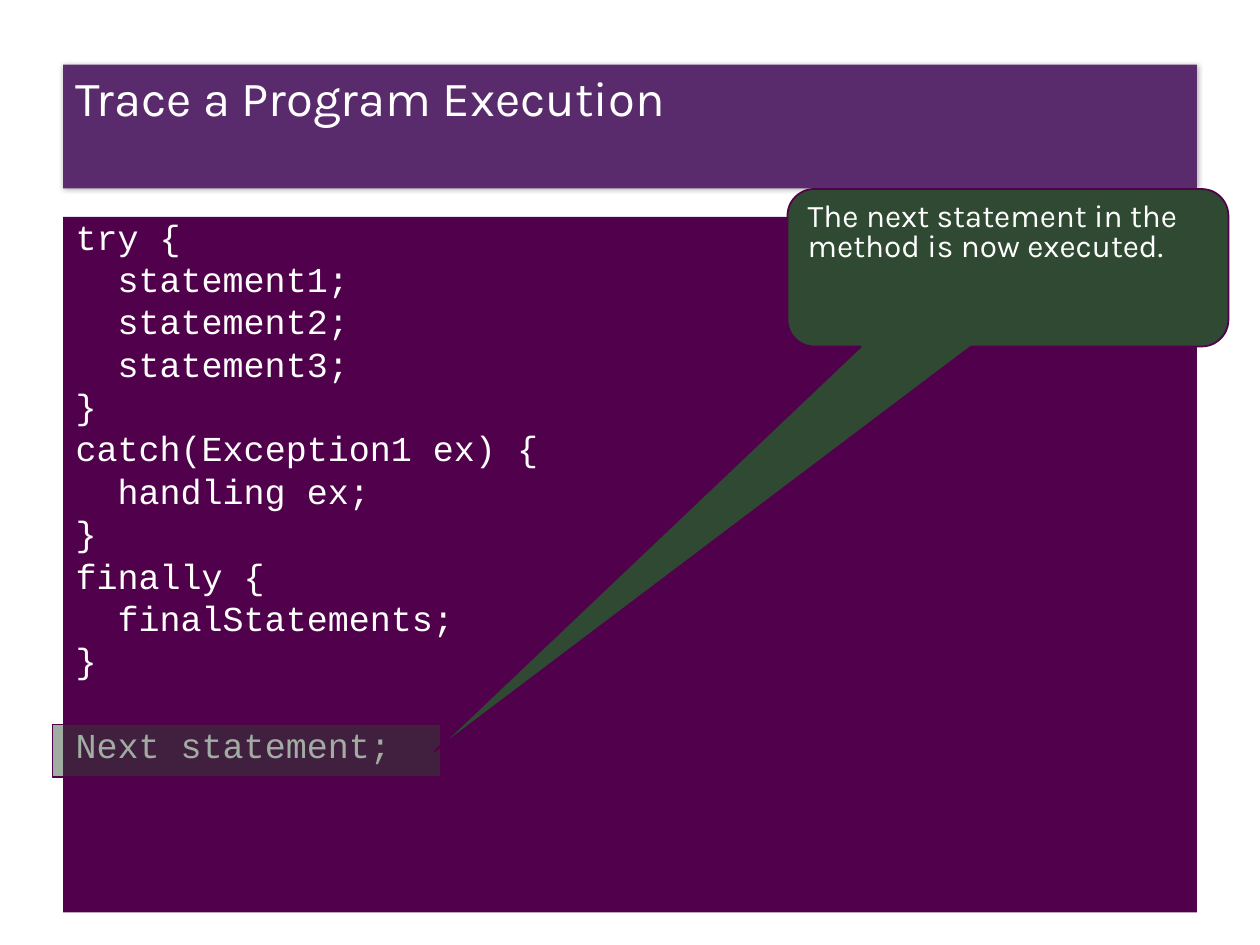
from dataclasses import dataclass

from lxml import etree
from pptx import Presentation
from pptx.dml.color import RGBColor
from pptx.enum.shapes import MSO_SHAPE
from pptx.enum.text import MSO_ANCHOR, MSO_AUTO_SIZE, PP_ALIGN
from pptx.oxml.ns import qn
from pptx.util import Pt

RECT = MSO_SHAPE.RECTANGLE
CALLOUT = MSO_SHAPE.ROUNDED_RECTANGULAR_CALLOUT
TOP = MSO_ANCHOR.TOP
LEFT = PP_ALIGN.LEFT
FIXED = MSO_AUTO_SIZE.NONE


@dataclass(frozen=True)
class Theme:
    banner: str = "562469"
    panel: str = "51004B"
    green: str = "2F4932"
    text: str = "FFFFFF"
    shade: str = "000000"
    sans: str = "Karla"
    mono: str = "Courier New"
    head: int = 28
    code: int = 20
    note: int = 18


# Each code line: indent level, wording, space before
CODE = [
    (0, "try {", 5),
    (1, "statement1;", 5),
    (1, "statement2;", 5),
    (1, "statement3;", 5),
    (0, "}", 5),
    (0, "catch(Exception1 ex) {", 5),
    (1, "handling ex;", 5),
    (0, "}", 5),
    (0, "finally {", 5),
    (1, "finalStatements;", 5),
    (0, "}", 5),
    (0, "Next statement;", 29),
]


class Deck:
    def __init__(self, theme):
        self.theme = theme
        self.deck = Presentation()
        self.deck.slide_width, self.deck.slide_height = Pt(720), Pt(540)
        self.slide = self.deck.slides.add_slide(self.deck.slide_layouts[1])

    def place(self, shape, box):
        shape.left, shape.top, shape.width, shape.height = map(Pt, box)

    def paint(self, shape, color, alpha=100):
        shape.fill.solid()
        shape.fill.fore_color.rgb = RGBColor.from_string(color)
        if alpha < 100:
            tint = shape.fill._xPr.find(".//" + qn("a:srgbClr"))
            etree.SubElement(tint, qn("a:alpha"), val=str(alpha * 1000))

    def frame(self, shape):
        frame = shape.text_frame
        frame.word_wrap = True
        frame.auto_size = FIXED
        frame.vertical_anchor = TOP
        return frame

    def style(self, para, font, size, gap, before=0):
        para.alignment = LEFT
        para.line_spacing = gap
        para.space_before = Pt(before)
        for run in para.runs:
            run.font.name = font
            run.font.size = Pt(size)
            run.font.color.rgb = RGBColor.from_string(self.theme.text)

    def glow(self, shape):
        shape.shadow.inherit = False
        effects = shape._element.spPr.find(qn("a:effectLst"))
        outer = etree.SubElement(effects, qn("a:outerShdw"), blurRad=str(Pt(3)),
                                 dist="0", algn="ctr", rotWithShape="0")
        tint = etree.SubElement(outer, qn("a:srgbClr"), val=self.theme.shade)
        etree.SubElement(tint, qn("a:alpha"), val="30000")

    def title(self, text, box):
        shape = self.slide.shapes.title
        self.place(shape, box)
        self.paint(shape, self.theme.banner, 95)
        self.glow(shape)
        frame = self.frame(shape)
        frame.margin_top = 0
        frame.text = text
        self.style(frame.paragraphs[0], self.theme.sans, self.theme.head, 1.05)

    def code(self, lines, box):
        shape = self.slide.placeholders[1]
        self.place(shape, box)
        self.paint(shape, self.theme.panel)
        frame = self.frame(shape)
        frame.text = "\n".join(text for _, text, _ in lines)
        step = 1.2 * self.theme.code  # two monospaced characters
        for para, (level, _, before) in zip(frame.paragraphs, lines):
            self.style(para, self.theme.mono, self.theme.code, 0.8, before)
            props = para._p.get_or_add_pPr()
            props.set("marL", str(Pt(level * step)))
            props.set("indent", "0")
            etree.SubElement(props, qn("a:buNone"))

    def block(self, kind, box, alpha=100):
        shape = self.slide.shapes.add_shape(kind, *map(Pt, box))
        shape.shadow.inherit = False
        self.paint(shape, self.theme.green, alpha)
        shape.line.color.rgb = RGBColor.from_string(self.theme.panel)
        shape.line.width = Pt(1)
        return shape

    def note(self, text, box, tip):
        shape = self.block(CALLOUT, box)
        for index, value in enumerate(tip):
            shape.adjustments[index] = value
        frame = self.frame(shape)
        frame.text = text
        self.style(frame.paragraphs[0], self.theme.sans, self.theme.note, 0.8, 4.3)

    def save(self):
        self.deck.save("out.pptx")


def main():
    deck = Deck(Theme())
    # Title banner and code panel
    deck.title("Trace a Program Execution", (36, 37, 648, 70.6))
    deck.code(CODE, (36, 124, 648, 397.4))
    # Highlight over the current line
    deck.block(RECT, (30, 414, 222, 30), 45)
    # Callout pointing at the highlight
    deck.note("The next statement in the method is now executed.",
              (450, 108, 252, 90), (-1.3, 3.07, 0.17))
    deck.save()


if __name__ == "__main__":
    main()
